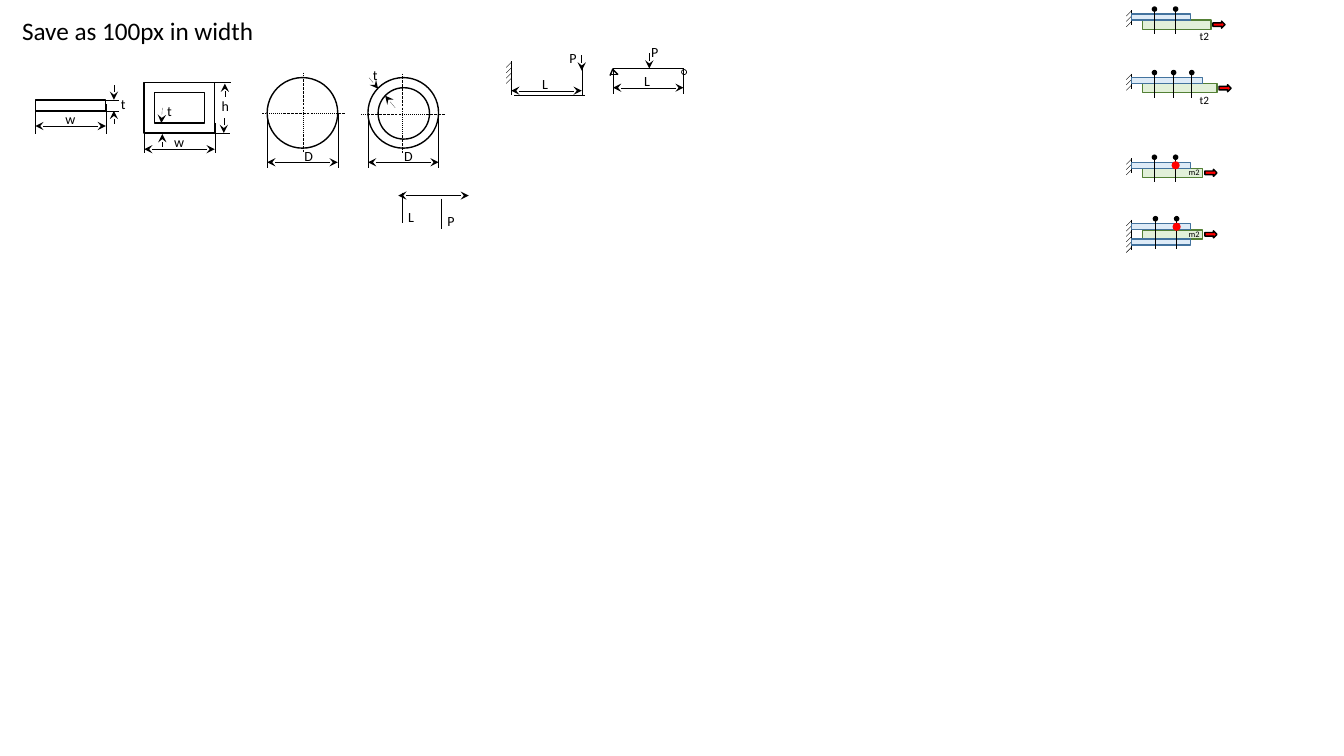
from pptx import Presentation
from pptx.dml.color import RGBColor
from pptx.enum.dml import MSO_LINE
from pptx.enum.shapes import MSO_CONNECTOR, MSO_SHAPE
from pptx.enum.text import MSO_ANCHOR, MSO_AUTO_SIZE, PP_ALIGN
from pptx.oxml.ns import qn
from pptx.util import Cm, Pt
from lxml.etree import SubElement

# Content: lengths are in grid units of one inch
UNIT = 2.54
COLORS = {"ink": "000000", "green": "E2F0D9", "moss": "538035",
          "blue": "DEEBF7", "navy": "43739E", "red": "FF0000"}
FRAME = {"word_wrap": False, "auto_size": MSO_AUTO_SIZE.SHAPE_TO_FIT_TEXT,
         "vertical_anchor": MSO_ANCHOR.TOP, "margin_left": Cm(0.25),
         "margin_right": Cm(0.25), "margin_top": Cm(0.13), "margin_bottom": Cm(0.13)}
SIZES = {10: 0.27, 8: 0.24, 6: 0.2}  # font size: box height
TITLE = ("Save as 100px in width", (0.12, 0.1, 2.52, 0.4), 18)
SPAN = 0.7

# Widths: left, top and bottom of side lines, height of arrow
SPANS = [(0.35, 1.03, 1.33, 1.25), (1.43, 1.22, 1.52, 1.48),
         (2.65, 1.12, 1.67, 1.61), (3.65, 1.12, 1.67, 1.61),
         (5.07, 0.64, 0.94, 0.9), (6.08, 0.68, 0.93, 0.87)]
LABELS = [("w", 0.55, 1.05, 0.3), ("t", 1.1, 0.9, 0.25), ("w", 1.63, 1.27, 0.3),
          ("h", 2.1, 0.92, 0.28), ("t", 1.56, 0.97, 0.25), ("D", 2.92, 1.41, 0.29),
          ("D", 3.91, 1.41, 0.29), ("t", 3.6, 0.61, 0.25), ("L", 5.28, 0.7, 0.26),
          ("P", 5.55, 0.44, 0.27), ("L", 6.29, 0.67, 0.26), ("P", 6.36, 0.38, 0.27),
          ("L", 3.95, 2.02, 0.26), ("P", 4.34, 2.06, 0.27)]
OUTLINES = [("RECTANGLE", (0.35, 0.99, SPAN, 0.11), 1),
            ("RECTANGLE", (1.43, 0.82, SPAN, 0.5), 1),
            ("RECTANGLE", (1.53, 0.92, 0.5, 0.3), 1),
            ("OVAL", (2.65, 0.77, SPAN, SPAN), 1),
            ("OVAL", (3.65, 0.77, SPAN, SPAN), 1),
            ("OVAL", (3.75, 0.87, 0.51, 0.51), 1),
            ("OVAL", (6.76, 0.69, 0.05, 0.05), 0.5)]
LINES = {  # width in points: ends of each line
    1: [(5.1, 0.95, 5.8, 0.95), (5.07, 0.61, 5.07, 0.81), (6.08, 0.68, 6.78, 0.68),
        (6.05, 0.75, 6.08, 0.68), (6.13, 0.74, 6.08, 0.69), (6.12, 0.74, 6.05, 0.74)],
    0.25: [(0.81, 0.99, 1.18, 0.99), (0.81, 1.1, 1.18, 1.1), (1.92, 0.82, 2.29, 0.82),
           (1.92, 1.32, 2.28, 1.32), (3.99, 1.91, 3.99, 2.21), (4.38, 1.97, 4.38, 2.27)]}
ARROWS = {  # width in points: tip, then end of each arrow
    0: [(1.13, 1.1, 1.13, 1.23), (1.13, 0.99, 1.13, 0.84), (2.23, 0.83, 2.23, 0.96),
        (2.22, 1.32, 2.22, 1.17), (1.61, 1.33, 1.61, 1.46), (1.6, 1.22, 1.61, 1.07),
        (3.82, 0.95, 3.92, 1.07), (3.75, 0.88, 3.66, 0.77)],
    1: [(5.77, 0.7, 5.77, 0.55), (6.44, 0.68, 6.44, 0.53)]}
AXES = [(3.01, 0.72, 3.01, 1.51), (3.42, 1.12, 2.6, 1.12),
        (3.99, 0.73, 3.99, 1.51), (4.41, 1.13, 3.58, 1.13)]
# Joints: top, green width, blue width, bolts, double plate, label, its place and size
WALL = 11.22
JOINTS = [(0.1, 0.68, 0.59, (0.23, 0.44), False, "t2", (0.58, 0.14, 0.32), 8),
          (0.73, 0.74, 0.71, (0.23, 0.42, 0.6), False, "t2", (0.58, 0.14, 0.32), 8),
          (1.57, 0.6, 0.59, (0.23, 0.44), False, "m2", (0.47, 0.04, 0.31), 6),
          (2.18, 0.6, 0.59, (0.24, 0.45), True, "m2", (0.47, 0.04, 0.31), 6)]


def cm(*vals):
    return [Cm(round(v * UNIT, 3)) for v in vals]


def rgb(name):
    return RGBColor.from_string(COLORS[name])


def line(ends, width, head=None, tail=None, dash=None):
    item = slide.shapes.add_connector(MSO_CONNECTOR.STRAIGHT, *cm(*ends))
    item.line.color.rgb = rgb("ink")
    if dash:
        item.line.dash_style = dash
    props = item.line._get_or_add_ln()
    props.set("w", str(int(Pt(width))))  # keeps a hairline of width 0
    for tag, kind in (("a:headEnd", head), ("a:tailEnd", tail)):
        if kind:
            tip = SubElement(props, qn(tag), type=kind)
            if kind == "oval":
                tip.set("w", "sm")
                tip.set("len", "sm")
    SubElement(props.getparent(), qn("a:effectLst"))


def shape(kind, box, fill=None, edge="ink", width=1):
    item = slide.shapes.add_shape(getattr(MSO_SHAPE, kind), *cm(*box))
    item.shadow.inherit = False
    if fill:
        item.fill.solid()
        item.fill.fore_color.rgb = rgb(fill)
    else:
        item.fill.background()
    if edge:
        item.line.color.rgb = rgb(edge)
        item.line.width = Pt(width)
    else:
        item.line.fill.background()


def write(item, text, size):
    frame = item.text_frame
    for key, val in FRAME.items():
        setattr(frame, key, val)
    para = frame.paragraphs[0]
    para.alignment = PP_ALIGN.LEFT
    run = para.add_run()
    run.text = text
    for key, val in {"name": "Calibri", "size": Pt(size), "bold": False}.items():
        setattr(run.font, key, val)
    run.font.color.rgb = rgb("ink")


def label(text, x, y, wide, size=10):
    write(slide.shapes.add_textbox(*cm(x, y, wide, SIZES[size])), text, size)


def hatch(x, top, count):
    for n in range(count):
        y = top + 0.053 * n
        line((x - 0.05, y + 0.06, x, y + 0.01), 0.25)


def joint(top, green, blue, bolts, double, text, place, size):
    deep = 0.3 if double else 0.15
    line((WALL, top, WALL, top + deep), 1)
    hatch(WALL, top, 6 if double else 3)
    shape("RECTANGLE", (WALL + 0.11, top + 0.1, green, 0.09), "green", "moss")
    for gap in (0.04, 0.19) if double else (0.04,):
        shape("RECTANGLE", (WALL, top + gap, blue, 0.06), "blue", "navy")
    shape("RIGHT_ARROW", (WALL + 0.13 + green, top + 0.11, 0.12, 0.07), "red")
    for gap in bolts:
        x = WALL + gap
        line((x, top - 0.01, x, top + (0.29 if double else 0.24)), 0.5, "oval")
    if text == "m2":
        shape("OVAL", (WALL + bolts[-1] - 0.04, top + 0.03, 0.08, 0.08), "red", None)
    dx, dy, wide = place
    label(text, WALL + dx, top + dy, wide, size)


deck = Presentation()
deck.slide_width, deck.slide_height = cm(13.33, 7.5)
slide = deck.slides.add_slide(deck.slide_layouts[5])

# Title
text, box, size = TITLE
title = slide.shapes.title
title.left, title.top, title.width, title.height = cm(*box)
write(title, text, size)

# Sections and beams
for kind, box, width in OUTLINES:
    shape(kind, box, width=width)
for width, group in LINES.items():
    for ends in group:
        line(ends, width)
for ends in AXES:
    line(ends, 0.25, dash=MSO_LINE.DASH_DOT)
hatch(5.07, 0.61, 4)

# Dimensions and loads
for left, top, low, y in SPANS:
    for x in (left, left + SPAN):
        line((x, top, x, low), 0.25)
for left, y in [(s[0], s[3]) for s in SPANS] + [(3.95, 1.94)]:
    line((left, y, left + SPAN, y), 0, "stealth", "stealth")
for width, group in ARROWS.items():
    for ends in group:
        line(ends, width, "stealth")
for item in LABELS:
    label(*item)

# Bolted joints
for item in JOINTS:
    joint(*item)

deck.save("out.pptx")
